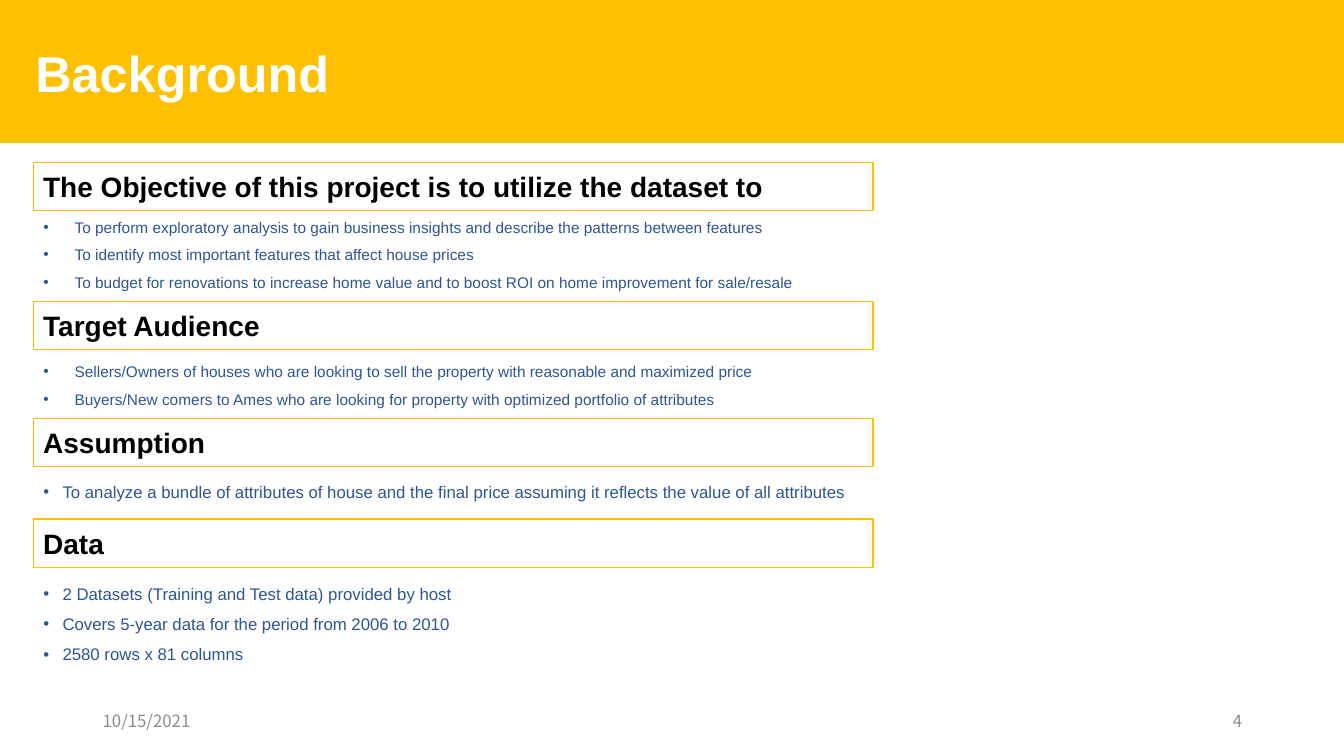
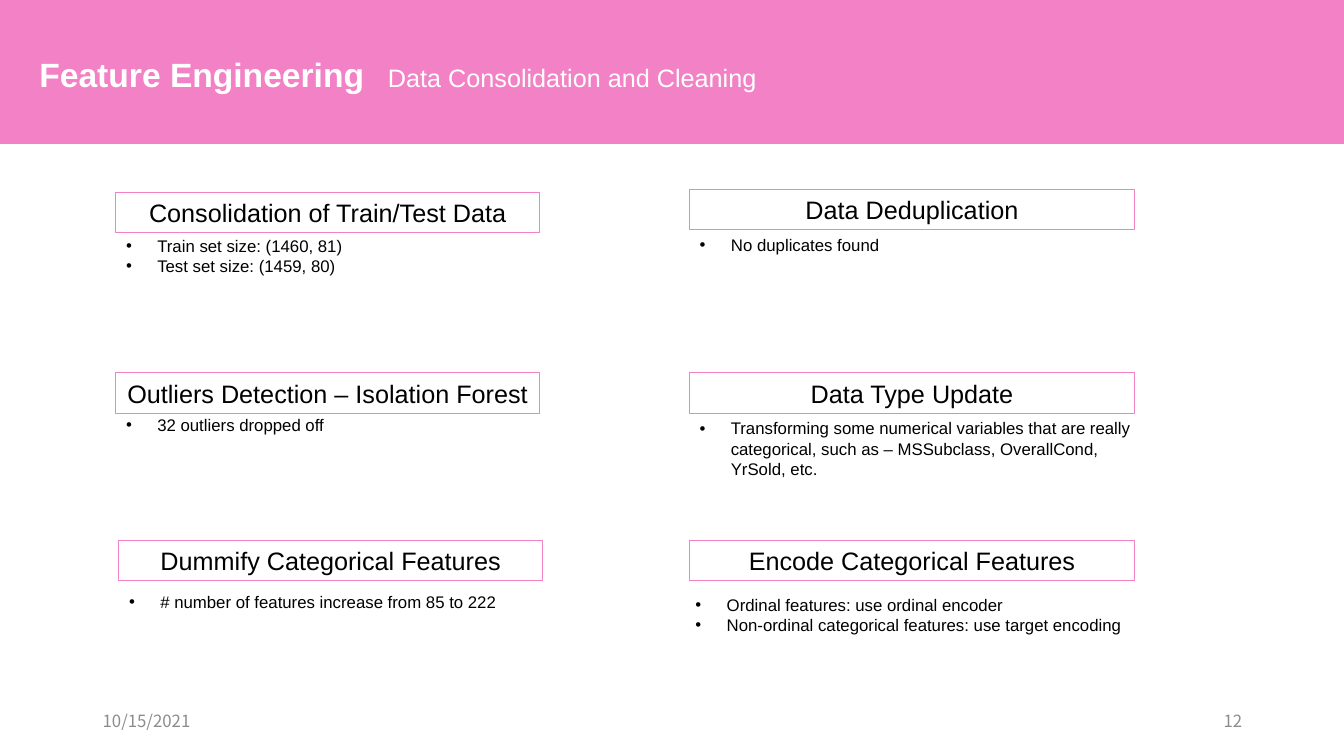
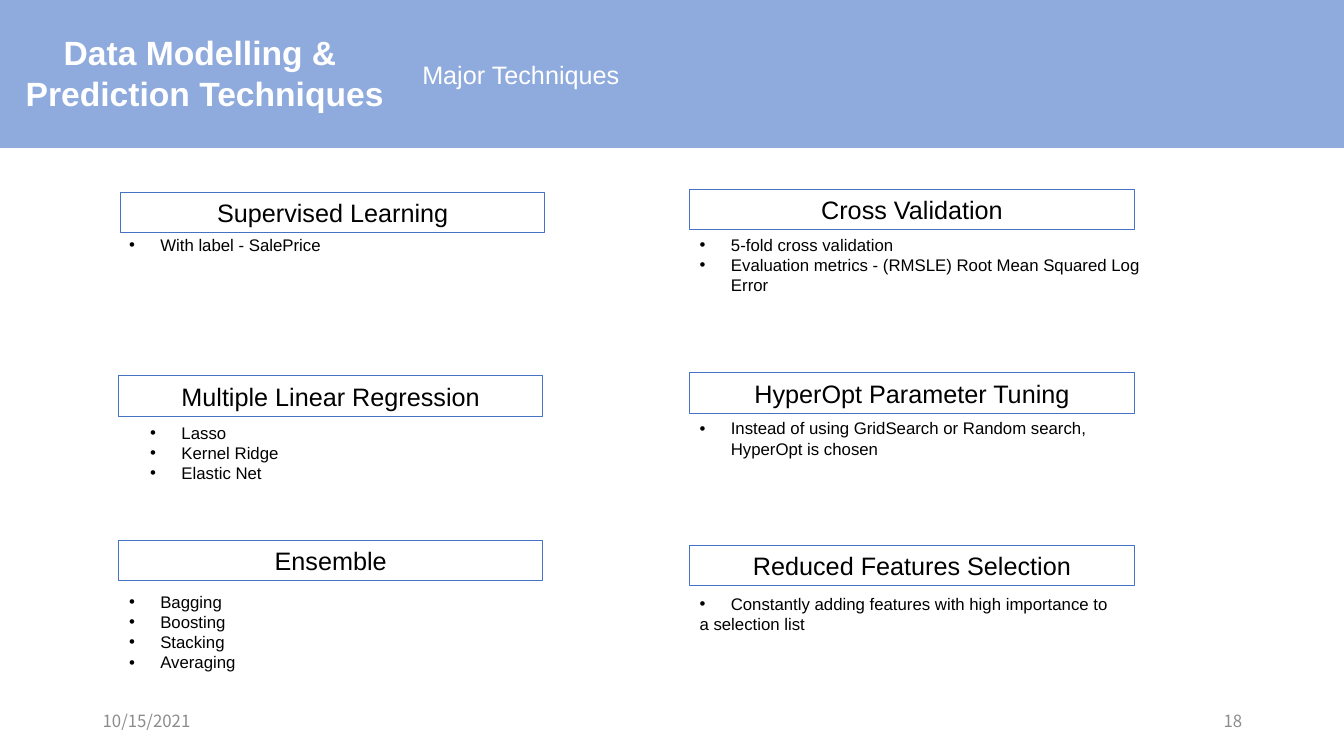
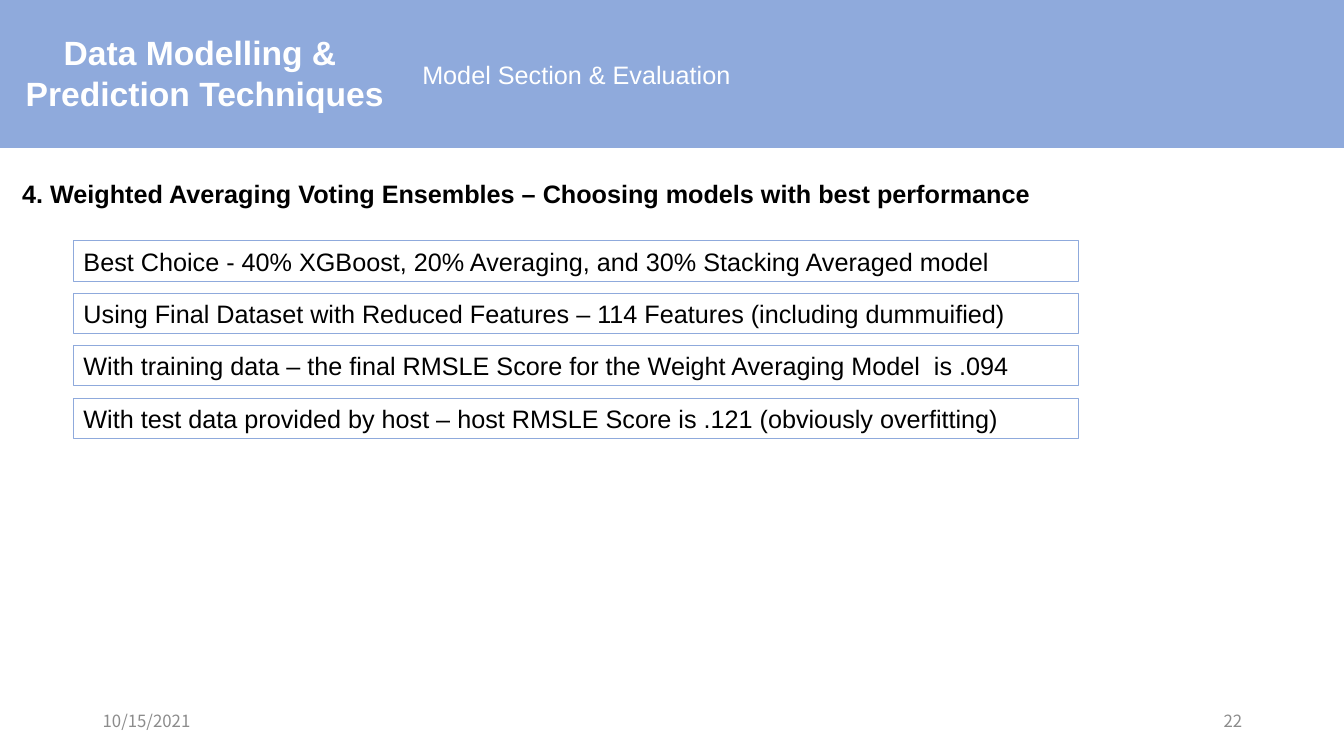
"""Build four slides of a house price project deck."""
from dataclasses import dataclass

from pptx import Presentation
from pptx.dml.color import RGBColor
from pptx.enum.shapes import MSO_SHAPE
from pptx.enum.text import MSO_ANCHOR, MSO_AUTO_SIZE, PP_ALIGN
from pptx.oxml.ns import qn
from pptx.util import Inches, Pt

COLORS = {
    "white": "FFFFFF", "black": "000000", "footer": "8C8C8C",
    "gold": "FFC000", "pink": "F282C5", "sky": "8FAADC",
    "blue": "4472C4", "navy": "2F5597",
}
W, H = 13.33, 7.5
BAND_H = 1.46
COMPARISON, CONTENT = 4, 1
FRAME = {"word_wrap": True, "auto_size": MSO_AUTO_SIZE.NONE}
SECTION_X, SECTION_W, SECTION_H = 0.33, 8.33, 0.48
COL_X, COL_W = (1.18, 6.84), (4.2, 4.41)
ROW_Y = (1.88, 3.7, 5.36)
CARD_H, LIST_W, LINE_H = 0.4, 4.6, 0.2
BAR_TOP, BAR_STEP = 2.39, 0.52


@dataclass(frozen=True)
class Style:
    size: float
    color: str = "black"
    bold: bool = False
    font: str = "Arial"
    align: PP_ALIGN = PP_ALIGN.LEFT
    spacing: float = 1.0
    hang: float = 0


@dataclass(frozen=True)
class Header:
    layout: int
    lines: tuple
    at: tuple
    style: Style
    color: str
    number: str
    band_y: float = 0
    subtitle: str = ""
    subtitle_at: tuple = (4.09, 0.54, 3.9, 0.4)


@dataclass(frozen=True)
class Section:
    heading: str
    y: float
    items: tuple
    list_y: float
    list_h: float
    style: Style
    first_spacing: float = 1.5


@dataclass(frozen=True)
class Card:
    col: int
    row: int
    heading: str
    items: tuple
    dx: float = 0
    dy: float = 0
    list_dx: float = 0
    list_dy: float = 0.4
    tail: str = ""


TITLE = Style(24, "white", True)
CENTERED_TITLE = Style(24, "white", True, align=PP_ALIGN.CENTER)
SUBTITLE = Style(18, "white")
FOOTER = Style(12, "footer", font="Noto Sans CJK SC")
NUMBER = Style(12, "footer", font="Noto Sans CJK SC", align=PP_ALIGN.RIGHT)
SECTION = Style(20, bold=True)
SMALL_LIST = Style(11, "navy", spacing=1.5, hang=0.31)
LARGE_LIST = Style(12, "navy", spacing=1.5, hang=0.19)
CARD = Style(18, align=PP_ALIGN.CENTER)
CARD_LIST = Style(12, hang=0.31)
BAR = Style(18)
TOPIC = Style(18, bold=True)

MODELLING = {
    "lines": ("Data Modelling & ", "Prediction Techniques"),
    "at": (-1.66, 0.27, 7.38, 0.91), "style": CENTERED_TITLE, "color": "sky",
}
HEADERS = (
    Header(COMPARISON, ("Background",), (0.25, 0.37, 3.15, 0.71),
           Style(36, "white", True), "gold", "4", -0.05),
    Header(COMPARISON, ("Feature Engineering",), (0.29, 0.48, 3.45, 0.5),
           TITLE, "pink", "12", -0.04, "Data Consolidation and Cleaning",
           (3.75, 0.57, 3.9, 0.4)),
    Header(COMPARISON, number="18", subtitle="Major Techniques", **MODELLING),
    Header(CONTENT, number="22", subtitle="Model Section & Evaluation",
           **MODELLING),
)
SECTIONS = (
    Section("The Objective of this project is to utilize the dataset to", 1.61, (
        "To perform exploratory analysis to gain business insights and "
        "describe the patterns between features",
        "To identify most important features that affect house prices",
        "To budget for renovations to increase home value and to boost ROI "
        "on home improvement for sale/resale",
    ), 2.11, 0.81, SMALL_LIST, 1.0),
    Section("Target Audience", 2.99, (
        "Sellers/Owners of houses who are looking to sell the property with "
        "reasonable and maximized price",
        "Buyers/New comers to Ames who are looking for property with "
        "optimized portfolio of attributes",
    ), 3.45, 0.66, SMALL_LIST),
    Section("Assumption", 4.15, (
        "To analyze a bundle of attributes of house and the final price "
        "assuming it reflects the value of all attributes",
    ), 4.63, 0.37, LARGE_LIST),
    Section("Data", 5.15, (
        "2 Datasets (Training and Test data) provided by host",
        "Covers 5-year data for the period from 2006 to 2010",
        "2580 rows x 81 columns",
    ), 5.64, 1.01, LARGE_LIST),
)
FEATURE_CARDS = (
    Card(0, 0, "Consolidation of Train/Test Data",
         ("Train set size: (1460, 81)", "Test set size: (1459, 80)"),
         -0.03, 0.03, -0.03, 0.41),
    Card(0, 1, "Outliers Detection – Isolation Forest",
         ("32 outliers dropped off",), -0.03, 0, -0.03, 0.36),
    Card(0, 2, "Dummify Categorical Features",
         ("# number of features increase from 85 to 222",), list_dy=0.46),
    Card(1, 0, "Data Deduplication", ("No duplicates found",)),
    Card(1, 1, "Data Type Update",
         ("Transforming some numerical variables that are really categorical, "
          "such as – MSSubclass, OverallCond, YrSold, etc.",)),
    Card(1, 2, "Encode Categorical Features",
         ("Ordinal features: use ordinal encoder",
          "Non-ordinal categorical features: use target encoding"),
         list_dx=-0.04, list_dy=0.49),
)
MODEL_CARDS = (
    Card(0, 0, "Supervised Learning", ("With label - SalePrice",), 0.02, 0.03),
    Card(0, 1, "Multiple Linear Regression",
         ("Lasso", "Kernel Ridge", "Elastic Net"), 0, 0.03, 0.21, 0.44),
    Card(0, 2, "Ensemble", ("Bagging", "Boosting", "Stacking", "Averaging"),
         list_dy=0.46),
    Card(1, 0, "Cross Validation",
         ("5-fold cross validation",
          "Evaluation metrics - (RMSLE) Root Mean Squared Log Error")),
    Card(1, 1, "HyperOpt Parameter Tuning",
         ("Instead of using GridSearch or Random search, HyperOpt is chosen",)),
    Card(1, 2, "Reduced Features Selection",
         ("Constantly adding features with high importance to",),
         dy=0.05, list_dy=0.48, tail="a selection list"),
)
BARS = (
    "Best Choice - 40% XGBoost, 20% Averaging, and 30% Stacking Averaged model",
    "Using Final Dataset with Reduced Features – 114 Features (including dummuified)",
    "With training data – the final RMSLE Score for the Weight Averaging Model  is .094",
    "With test data provided by host – host RMSLE Score is .121 (obviously overfitting)",
)


def rgb(name: str) -> RGBColor:
    return RGBColor.from_string(COLORS[name])


def place(sp, at: tuple) -> None:
    for name, value in zip(("left", "top", "width", "height"), at):
        setattr(sp, name, Inches(value))


def set_bullet(p, hang: float) -> None:
    pPr = p._p.get_or_add_pPr()
    pPr.set("marL", str(Inches(hang)))
    pPr.set("indent", str(-Inches(hang)))
    if hang:
        font = pPr.makeelement(qn("a:buFont"), {"typeface": "Arial"})
        pPr.extend([font, pPr.makeelement(qn("a:buChar"), {"char": "•"})])
    else:
        pPr.append(pPr.makeelement(qn("a:buNone"), {}))


def write(sp, lines: tuple, style: Style, anchor=MSO_ANCHOR.TOP,
          first_spacing: float = 0, tail: str = "") -> None:
    tf = sp.text_frame
    for name, value in {**FRAME, "vertical_anchor": anchor}.items():
        setattr(tf, name, value)
    texts = lines + ((tail,) if tail else ())
    for i, text in enumerate(texts):
        p = tf.paragraphs[0] if i == 0 else tf.add_paragraph()
        spacing = first_spacing if i == 0 and first_spacing else style.spacing
        formats = {"alignment": style.align, "line_spacing": spacing,
                   "space_before": Pt(0), "space_after": Pt(0)}
        for name, value in formats.items():
            setattr(p, name, value)
        set_bullet(p, style.hang if i < len(lines) else 0)
        r = p.add_run()
        r.text = text
        formats = {"name": style.font, "size": Pt(style.size), "bold": style.bold}
        for name, value in formats.items():
            setattr(r.font, name, value)
        r.font.color.rgb = rgb(style.color)


def add_text(s, at: tuple, lines: tuple, style: Style, **options) -> None:
    write(s.shapes.add_textbox(*map(Inches, at)), lines, style, **options)


def add_rect(s, at: tuple, line: str, width: float, fill: str = ""):
    sp = s.shapes.add_shape(MSO_SHAPE.RECTANGLE, *map(Inches, at))
    sp.shadow.inherit = False
    if fill:
        sp.fill.solid()
        sp.fill.fore_color.rgb = rgb(fill)
    else:
        sp.fill.background()
    sp.line.color.rgb = rgb(line)
    sp.line.width = Pt(width)
    return sp


def add_body(s, at: tuple, lines: tuple, style: Style, **options) -> None:
    free = [ph for ph in s.placeholders
            if ph.placeholder_format.idx and not ph.text_frame.text]
    if free:
        place(free[0], at)
        write(free[0], lines, style, **options)
    else:
        add_text(s, at, lines, style, **options)


def add_slide(prs, header: Header):
    s = prs.slides.add_slide(prs.slide_layouts[header.layout])
    title = s.shapes.title
    band = add_rect(s, (0, header.band_y, W, BAND_H), header.color, 1, header.color)
    title.element.addprevious(band.element)
    place(title, header.at)
    write(title, header.lines, header.style)
    if header.subtitle:
        add_text(s, header.subtitle_at, (header.subtitle,), SUBTITLE)
    for x, text, style in ((0.92, "10/15/2021", FOOTER), (9.42, header.number, NUMBER)):
        add_text(s, (x, 6.95, 3, 0.4), (text,), style, anchor=MSO_ANCHOR.MIDDLE)
    return s


def add_section(s, section: Section) -> None:
    sp = add_rect(s, (SECTION_X, section.y, SECTION_W, SECTION_H), "gold", 1)
    write(sp, (section.heading,), SECTION, anchor=MSO_ANCHOR.MIDDLE)
    add_body(s, (SECTION_X, section.list_y, SECTION_W, section.list_h),
             section.items, section.style, first_spacing=section.first_spacing)


def add_card(s, card: Card, color: str) -> None:
    x, y = COL_X[card.col], ROW_Y[card.row]
    sp = add_rect(s, (x + card.dx, y + card.dy, COL_W[card.col], CARD_H), color, 0.75)
    write(sp, (card.heading,), CARD)
    height = 0.1 + LINE_H * (len(card.items) + bool(card.tail))
    add_body(s, (x + card.list_dx, y + card.list_dy, LIST_W, height),
             card.items, CARD_LIST, tail=card.tail)


def main() -> None:
    prs = Presentation()
    prs.slide_width, prs.slide_height = Inches(W), Inches(H)
    background, features, models, evaluation = [add_slide(prs, h) for h in HEADERS]
    for section in SECTIONS:
        add_section(background, section)
    for s, cards, color in ((features, FEATURE_CARDS, "pink"),
                            (models, MODEL_CARDS, "blue")):
        for card in cards:
            add_card(s, card, color)
    add_body(evaluation, (0.12, 1.72, 10.3, 0.4),
             ("4. Weighted Averaging Voting Ensembles – Choosing models with "
              "best performance",), TOPIC)
    for i, text in enumerate(BARS):
        sp = add_rect(evaluation, (0.73, BAR_TOP + i * BAR_STEP, 9.97, CARD_H), "sky", 0.75)
        write(sp, (text,), BAR)
    prs.save("out.pptx")


if __name__ == "__main__":
    main()
